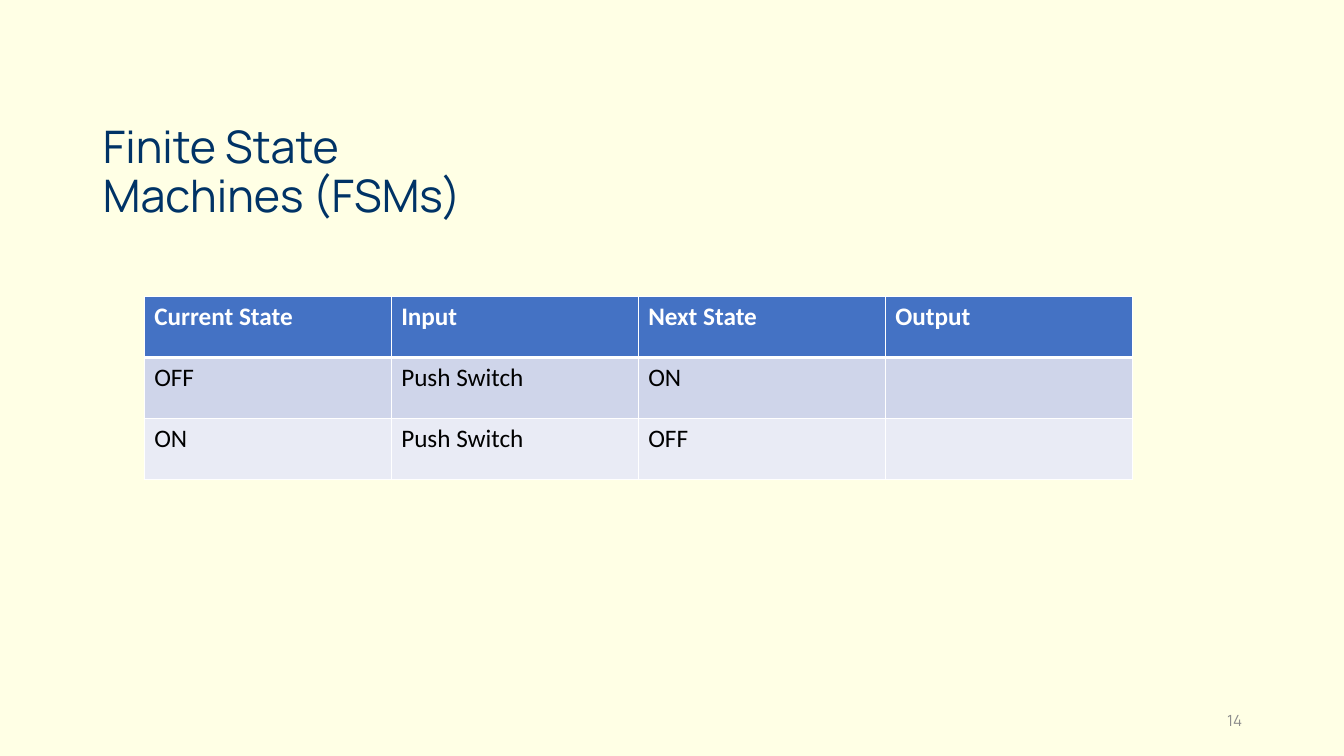
from lxml.etree import SubElement
from pptx import Presentation
from pptx.dml.color import RGBColor
from pptx.enum.text import MSO_ANCHOR as Anchor, MSO_AUTO_SIZE as AutoSize, PP_ALIGN as Align
from pptx.oxml.ns import qn
from pptx.util import Inches, Pt

CREAM = RGBColor(0xFF, 0xFF, 0xE5)
NAVY = RGBColor(0x00, 0x33, 0x66)
GRAY = RGBColor(0x8C, 0x8C, 0x8C)
WHITE = RGBColor(0xFF, 0xFF, 0xFF)
BLACK = RGBColor(0x00, 0x00, 0x00)
HEADER_BLUE = RGBColor(0x44, 0x72, 0xC4)
BANDS = [RGBColor(0xCF, 0xD5, 0xEA), RGBColor(0xE9, 0xEB, 0xF5)]

TRANSITIONS = [
    ["Current State", "Input", "Next State", "Output"],
    ["OFF", "Push Switch", "ON", ""],
    ["ON", "Push Switch", "OFF", ""],
]


def style(p, font, size, color, bold=False):
    p.font.name = font
    p.font.size = Pt(size)
    p.font.color.rgb = color
    p.font.bold = bold


def place(sp, left, top, width, height):
    sp.left, sp.top = Inches(left), Inches(top)
    sp.width, sp.height = Inches(width), Inches(height)


def add_title(s, text):
    sp = s.shapes.title
    place(sp, 0.92, 0.5, 4.3, 1.75)
    tf = sp.text_frame
    tf.text = text
    tf.word_wrap = True
    tf.auto_size = AutoSize.NONE
    tf.vertical_anchor = Anchor.BOTTOM
    p = tf.paragraphs[0]
    p.alignment = Align.LEFT
    p.line_spacing = 0.9
    style(p, "Manrope", 32, NAVY)


def add_page_number(s, number):
    sp = s.shapes.add_textbox(Inches(9.42), Inches(6.95), Inches(3), Inches(0.4))
    tf = sp.text_frame
    tf.text = number
    tf.word_wrap = True
    tf.vertical_anchor = Anchor.MIDDLE
    p = tf.paragraphs[0]
    p.alignment = Align.RIGHT
    p.space_after = Pt(6)
    style(p, "Manrope", 11, GRAY)


def set_borders(cell, top, bottom):
    tc_pr = cell._tc.get_or_add_tcPr()
    for side, width in (("L", 1), ("R", 1), ("T", top), ("B", bottom)):
        ln = SubElement(tc_pr, qn(f"a:ln{side}"), w=str(Pt(width)))
        fill = SubElement(ln, qn("a:solidFill"))
        SubElement(fill, qn("a:srgbClr"), val=str(WHITE))


def add_table(s, rows):
    table = s.shapes.add_table(len(rows), len(rows[0]), Inches(1.43), Inches(2.94),
                               Inches(9.8), Inches(1.82)).table
    for i, row in enumerate(rows):
        header = i == 0
        for j, text in enumerate(row):
            cell = table.cell(i, j)
            # The rule below the header is thicker than the rest
            set_borders(cell, top=3 if i == 1 else 1, bottom=3 if header else 1)
            cell.fill.solid()
            cell.fill.fore_color.rgb = HEADER_BLUE if header else BANDS[(i - 1) % 2]
            cell.text = text
            style(cell.text_frame.paragraphs[0], "Calibri", 18,
                  WHITE if header else BLACK, header)


def main():
    prs = Presentation()
    prs.slide_width, prs.slide_height = Inches(13.33), Inches(7.5)
    s = prs.slides.add_slide(prs.slide_layouts[5])

    # Background
    s.background.fill.solid()
    s.background.fill.fore_color.rgb = CREAM

    # Content
    add_title(s, "Finite State Machines (FSMs)")
    add_page_number(s, "14")
    add_table(s, TRANSITIONS)

    prs.save("out.pptx")


main()
